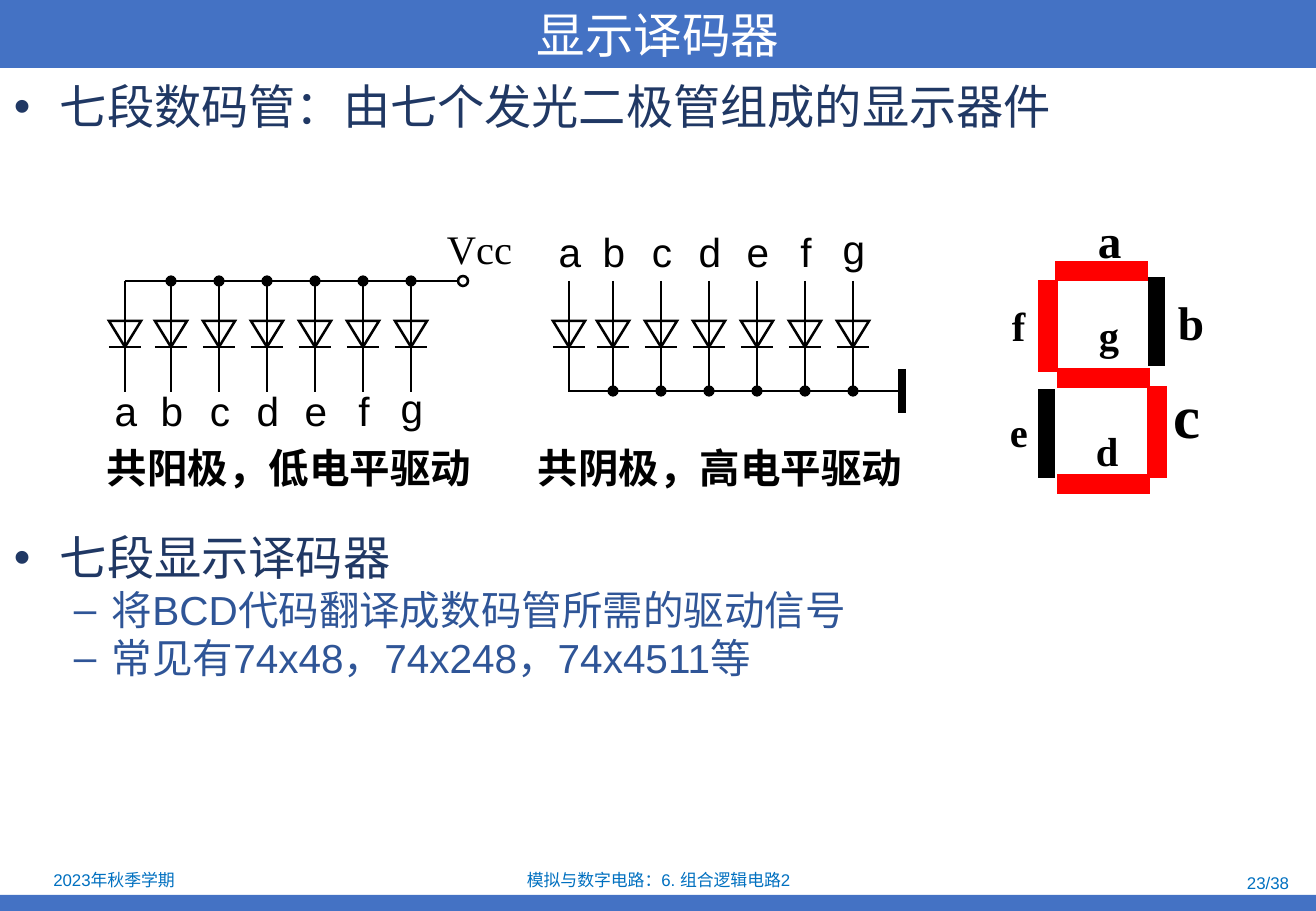
"""Builds the slide on seven-segment display decoders."""
from lxml import etree
from pptx import Presentation, util as u
from pptx.dml.color import RGBColor
from pptx.enum import shapes, text
from pptx.oxml.ns import qn

COLORS = {"blue": "4472C4", "navy": "203864", "steel": "2F5597",
          "footer": "0070C0", "white": "FFFFFF", "black": "000000", "red": "FF0000"}
SHAPE = shapes.MSO_SHAPE
ALIGN = text.PP_ALIGN
ANCHOR = text.MSO_ANCHOR


class Slide:
    """Holds the style and the current page, and draws each kind of element."""
    SCALE = 7526
    SANS, SERIF, CHINESE = "Arial", "Times New Roman", "Noto Sans CJK SC"

    def __init__(self, width, height):
        """Opens a deck with one blank page."""
        self.deck = Presentation()
        self.deck.slide_width, self.deck.slide_height = self.emu(width, height)
        self.page = self.deck.slides.add_slide(self.deck.slide_layouts[6])

    def emu(self, *lengths):
        """Turns px into EMU."""
        return [u.Emu(length * self.SCALE) for length in lengths]

    def color(self, name):
        """Looks up a colour by name."""
        return RGBColor.from_string(COLORS[name])

    def style(self, para, size, color, face=SANS, bold=False):
        """Sets the font of a whole paragraph."""
        font = para.font
        font.size, font.bold, font.name = u.Pt(size), bold, face
        font.color.rgb = self.color(color)
        defaults = para._p.get_or_add_pPr().find(qn("a:defRPr"))
        etree.SubElement(defaults, qn("a:ea"), typeface=self.CHINESE)

    def shape(self, kind, area, fill=None, line=None, weight=1.5):
        """Draws a preset shape with sharp corners."""
        item = self.page.shapes.add_shape(kind, *self.emu(*area))
        item.shadow.inherit = False
        if fill:
            item.fill.solid()
            item.fill.fore_color.rgb = self.color(fill)
        else:
            item.fill.background()
        if line:
            item.line.color.rgb = self.color(line)
            item.line.width = u.Pt(weight)
            outline = item._element.spPr.find(qn("a:ln"))
            etree.SubElement(outline, qn("a:miter"), lim="800000")
        else:
            item.line.fill.background()
        return item

    def wire(self, start, end, weight=1.5):
        """Draws a straight black line."""
        item = self.page.shapes.add_connector(
            shapes.MSO_CONNECTOR.STRAIGHT, *self.emu(*start, *end))
        item.line.color.rgb = self.color("black")
        item.line.width = u.Pt(weight)
        etree.SubElement(item._element.spPr, qn("a:effectLst"))

    def caption(self, frame, words, size, color, align=ALIGN.LEFT, **font):
        """Puts one paragraph in the middle of a text frame."""
        frame.word_wrap = True
        frame.vertical_anchor = ANCHOR.MIDDLE
        para = frame.paragraphs[0]
        para.text, para.alignment = words, align
        self.style(para, size, color, **font)

    def label(self, words, area, size=24, color="black", align=ALIGN.LEFT, **font):
        """Adds a one-line text box."""
        box = self.page.shapes.add_textbox(*self.emu(*area))
        self.caption(box.text_frame, words, size, color, align, **font)

    def outline(self, area, items):
        """Adds a bulleted outline."""
        frame = self.page.shapes.add_textbox(*self.emu(*area)).text_frame
        frame.word_wrap = True
        for index, (words, level, before) in enumerate(items):
            para = frame.add_paragraph() if index else frame.paragraphs[0]
            para.text, para.level = words, level
            mark, margin, hang, size, color = [
                ("•", 46, 46, 28, "navy"), ("–", 98, 38, 24, "steel")][level]
            props = para._p.get_or_add_pPr()
            props.set("marL", str(margin * self.SCALE))
            props.set("indent", str(-hang * self.SCALE))
            etree.SubElement(props, qn("a:buFont"), typeface=self.SANS)
            etree.SubElement(props, qn("a:buChar"), char=mark)
            para.line_spacing = 0.9
            if before:
                para.space_before = u.Pt(before)
            self.style(para, size, color)

    def diodes(self, first, second, bus, bus_end, names_top):
        """Draws seven named diodes joined by a bus."""
        columns = [first] + [second + 48 * step for step in range(6)]
        self.wire((first, bus), (bus_end, bus))
        for name, x in zip("abcdefg", columns):
            self.wire((x, 281), (x, 392))
            self.shape(SHAPE.FLOWCHART_MERGE, (x - 16, 321, 32, 26), line="black")
            self.wire((x - 16, 347), (x + 16, 347))
            if x != first:
                self.shape(SHAPE.OVAL, (x - 5, bus - 5, 10, 10), "black", "black", 0.75)
            top = names_top - 3 * (name == "g")
            self.label(name, (x - 23, top, 48, 61), align=ALIGN.CENTER)

    def segment(self, left, top, color, weight, flat=False):
        """Draws one bar of the digit."""
        size = (85, 12) if flat else (12, 84)
        self.shape(SHAPE.RECTANGLE, (left, top, *size), color, color, weight)


def main():
    """Draws the slide and saves it."""
    slide = Slide(1316, 911)
    slide.shape(SHAPE.RECTANGLE, (0, 895, 1316, 16), "blue")
    title = slide.shape(SHAPE.RECTANGLE, (0, 0, 1316, 68), "blue")
    slide.caption(title.text_frame, "显示译码器", 28.8, "white", ALIGN.CENTER,
                  face=slide.CHINESE)
    slide.outline((2, 78, 1313, 790), [
        ("七段数码管：由七个发光二极管组成的显示器件", 0, 0),
        ("七段显示译码器", 0, 237),
        ("将BCD代码翻译成数码管所需的驱动信号", 1, 2.5),
        ("常见有74x48，74x248，74x4511等", 1, 2.5)])
    for words, area, align in [
            ("2023年秋季学期", (2, 866, 224, 28), ALIGN.CENTER),
            ("模拟与数字电路：6. 组合逻辑电路2", (450, 867, 417, 26), ALIGN.CENTER),
            ("23/38", (994, 870, 307, 26), ALIGN.RIGHT)]:
        slide.label(words, area, 10, "footer", align)

    slide.diodes(125, 171, 281, 458, 380)
    slide.shape(SHAPE.OVAL, (458, 276, 10, 10), line="black")
    slide.label("Vcc", (435, 218, 90, 61), face=slide.SERIF)
    slide.diodes(569, 613, 391, 900, 221)
    slide.wire((902, 369), (902, 413), 4.5)
    for words, left in [("共阳极，低电平驱动", 95), ("共阴极，高电平驱动", 526)]:
        slide.label(words, (left, 437, 407, 61), bold=True)

    for left, top in [(1151, 280), (1041, 392)]:
        slide.segment(left, top, "black", 3)
    for left, top, flat in [(1042, 284, False), (1151, 390, False),
                            (1059, 265, True), (1061, 372, True), (1061, 478, True)]:
        slide.segment(left, top, "red", 4.5, flat)
    for name, left, top, width, height, size in [
            ("a", 1086, 205, 33, 69, 28), ("b", 1166, 287, 45, 69, 28),
            ("c", 1162, 372, 40, 85, 36), ("d", 1084, 420, 39, 61, 24),
            ("e", 998, 401, 28, 61, 24), ("f", 1000, 295, 38, 61, 24),
            ("g", 1087, 304, 33, 61, 24)]:
        slide.label(name, (left, top, width, height), size, face=slide.SERIF, bold=True)
    slide.deck.save("out.pptx")


if __name__ == "__main__":
    main()
